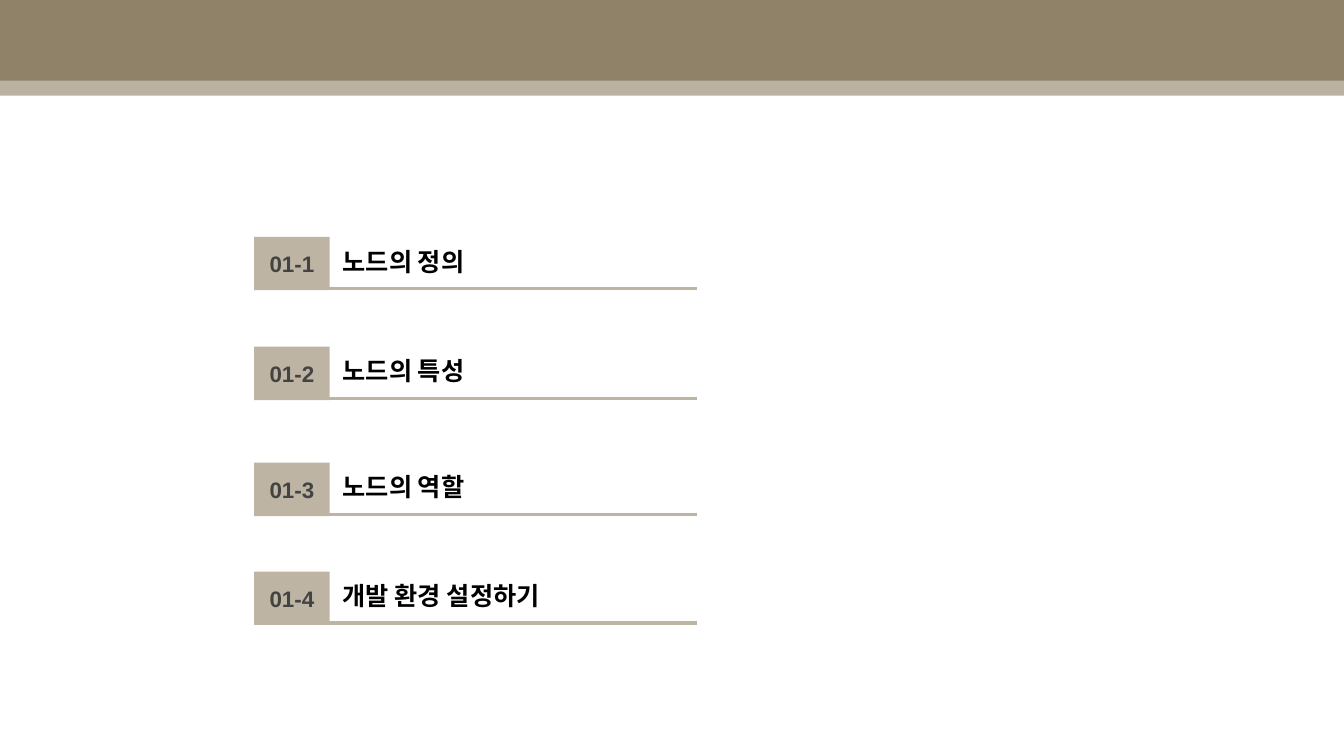
from lxml import etree
from pptx import Presentation
from pptx.dml.color import RGBColor
from pptx.enum.shapes import MSO_CONNECTOR, MSO_SHAPE
from pptx.enum.text import MSO_ANCHOR, PP_ALIGN
from pptx.oxml.ns import qn
from pptx.util import Inches, Pt

OLIVE = RGBColor(0x90, 0x82, 0x69)
SAND = RGBColor(0xBD, 0xB4, 0xA4)
CHARCOAL = RGBColor(0x43, 0x43, 0x43)
BLACK = RGBColor(0, 0, 0)

WIDTH, HEIGHT = 13.33, 7.5
ENTRY_LEFT, ENTRY_WIDTH, ENTRY_HEIGHT = 2.52, 4.39, 0.53
ENTRIES = [
    ("01-1", "노드의 정의", 2.35),
    ("01-2", "노드의 특성", 3.44),
    ("01-3", "노드의 역할", 4.59),
    ("01-4", "개발 환경 설정하기", 5.67),
]


def add_block(shapes, left, top, width, height, color):
    block = shapes.add_shape(
        MSO_SHAPE.RECTANGLE, Inches(left), Inches(top), Inches(width), Inches(height)
    )
    block.shadow.inherit = False
    block.fill.solid()
    block.fill.fore_color.rgb = color
    block.line.fill.background()
    return block


def write_text(box, text, size, font, color, align):
    para = box.text_frame.paragraphs[0]
    para.alignment = align
    span = para.add_run()
    span.text = text
    span.font.size = Pt(size)
    span.font.bold = True
    span.font.name = font
    span.font.color.rgb = color
    properties = span.font._element
    etree.SubElement(properties, qn("a:ea")).set("typeface", font)


def add_header(page, left, top, width, height):
    add_block(page.shapes, left, top, width, 0.8, OLIVE)
    strip = add_block(page.shapes, left, top + height - 0.3, width, 0.3, OLIVE)
    color = strip.fill._xPr.find(qn("a:solidFill"))[0]
    etree.SubElement(color, qn("a:alpha")).set("val", "62000")


def add_entry(page, number, title, left, top, width, height):
    shapes = page.shapes.add_group_shape().shapes

    badge = add_block(shapes, left, top, 0.75, height, SAND)
    badge.text_frame.margin_left = badge.text_frame.margin_right = 0
    badge.text_frame.vertical_anchor = MSO_ANCHOR.MIDDLE
    write_text(badge, number, 16, "Arial", CHARCOAL, PP_ALIGN.CENTER)

    box = shapes.add_textbox(
        Inches(left + 0.78), Inches(top + 0.04), Inches(width - 0.04), Inches(0.4)
    )
    box.text_frame.word_wrap = True
    write_text(box, title, 18, "Noto Sans CJK KR", BLACK, PP_ALIGN.LEFT)

    rule_top = Inches(top + height - 0.02)
    rule = shapes.add_connector(
        MSO_CONNECTOR.STRAIGHT,
        Inches(left + 0.74), rule_top, Inches(left + width), rule_top,
    )
    rule.line.color.rgb = SAND
    rule.line.width = Pt(2.25)
    etree.SubElement(rule._element.spPr, qn("a:effectLst"))


def main():
    deck = Presentation()
    deck.slide_width = Inches(WIDTH)
    deck.slide_height = Inches(HEIGHT)
    page = deck.slides.add_slide(deck.slide_layouts[6])
    add_header(page, 0, 0, WIDTH, 0.95)
    for number, title, top in ENTRIES:
        add_entry(page, number, title, ENTRY_LEFT, top, ENTRY_WIDTH, ENTRY_HEIGHT)
    deck.save("out.pptx")


if __name__ == "__main__":
    main()
